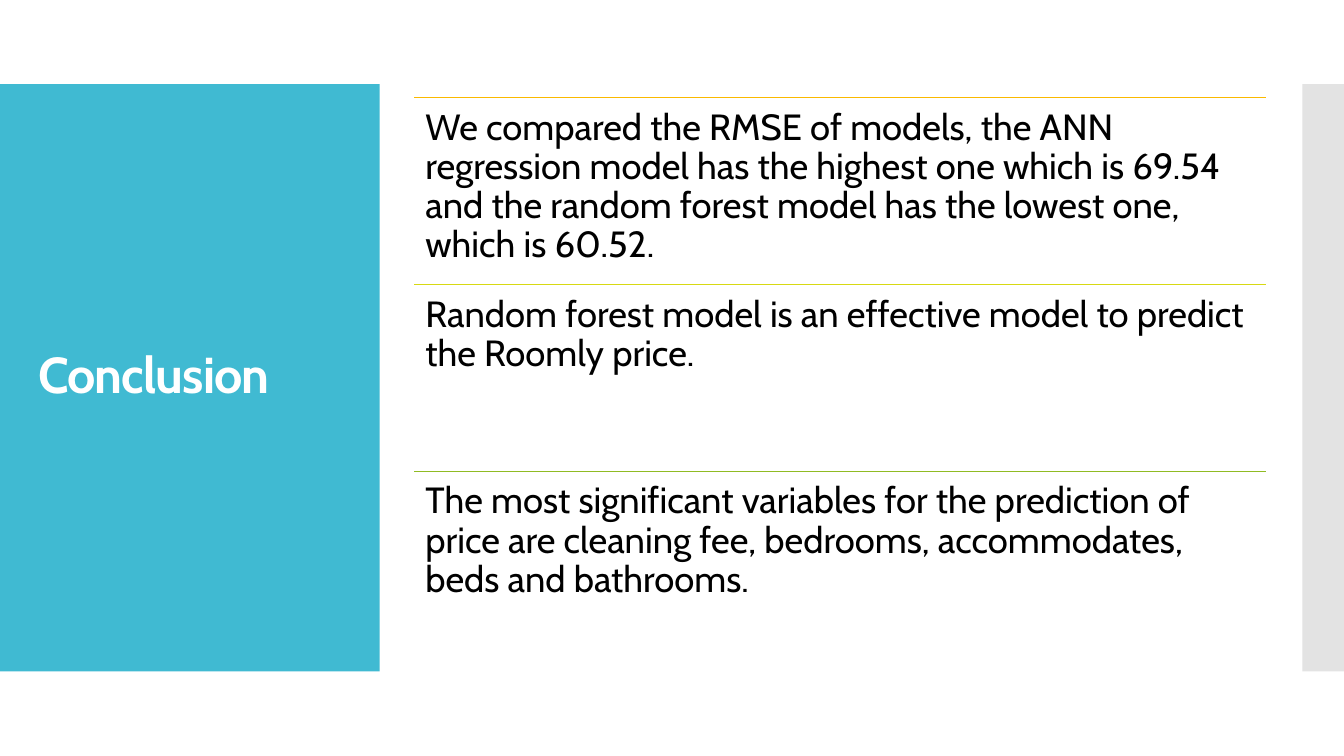
"""Build the Conclusion slide: a title panel beside three ruled findings."""
from lxml.etree import SubElement
from pptx import Presentation
from pptx.dml.color import RGBColor
from pptx.enum.shapes import MSO_CONNECTOR, MSO_SHAPE
from pptx.enum.text import MSO_ANCHOR
from pptx.oxml.ns import qn
from pptx.util import Cm, Pt

COLORS = {
    "panel": "40BAD2",
    "edge": "E3E3E3",
    "title": "FFFFFF",
    "body": "000000",
    "gold": "FAB900",
    "lime": "D7D913",
    "green": "90BB23",
}

FINDINGS = [
    ("gold", "We compared the RMSE of models, the ANN regression model has the "
             "highest one which is 69.54 and the random forest model has the "
             "lowest one, which is 60.52."),
    ("lime", "Random forest model is an effective model to predict the Roomly price."),
    ("green", "The most significant variables for the prediction of price are "
              "cleaning fee, bedrooms, accommodates, beds and bathrooms."),
]


class SlideBuilder:
    font_name = "Cabin"
    line_spacing = 0.9
    rule_width = Pt(0.85)

    def __init__(self, slide):
        self.slide = slide

    def color(self, key):
        return RGBColor.from_string(COLORS[key])

    def block(self, left, top, width, height, color):
        block = self.slide.shapes.add_shape(
            MSO_SHAPE.RECTANGLE, Cm(left), Cm(top), Cm(width), Cm(height))
        block.shadow.inherit = False
        block.fill.solid()
        block.fill.fore_color.rgb = self.color(color)
        block.line.fill.background()

    def rule(self, left, top, width, color):
        rule = self.slide.shapes.add_connector(
            MSO_CONNECTOR.STRAIGHT, Cm(left), Cm(top), Cm(left + width), Cm(top))
        rule.line.color.rgb = self.color(color)
        rule.line.width = self.rule_width
        SubElement(rule._element.spPr, qn("a:effectLst"))

    def text(self, left, top, width, height, words, size, color,
             bold=False, anchor=MSO_ANCHOR.TOP, inset=0.25, tracking=0):
        frame = self.slide.shapes.add_textbox(
            Cm(left), Cm(top), Cm(width), Cm(height)).text_frame
        frame.word_wrap = True
        frame.vertical_anchor = anchor
        frame.margin_left = frame.margin_right = Cm(inset)
        frame.margin_top = frame.margin_bottom = Cm(inset)
        paragraph = frame.paragraphs[0]
        paragraph.text = words
        paragraph.line_spacing = self.line_spacing
        font = paragraph.font
        font.name = self.font_name
        font.size = Pt(size)
        font.bold = bold
        font.color.rgb = self.color(color)
        if tracking:
            font._rPr.set("spc", str(tracking))


def main():
    deck = Presentation()
    deck.slide_width, deck.slide_height = Cm(33.87), Cm(19.05)
    builder = SlideBuilder(deck.slides.add_slide(deck.slide_layouts[6]))

    band_top, band_height = 2.12, 14.8
    builder.block(0, band_top, 9.57, band_height, "panel")
    builder.block(32.82, band_top, 1.05, band_height, "edge")
    builder.text(0.71, 3.12, 8.18, 12.78, "Conclusion", 36, "title",
                 bold=True, anchor=MSO_ANCHOR.MIDDLE, tracking=-60)

    left, first_top, width, row_height = 10.44, 2.46, 21.46, 4.71
    for row, (rule_color, finding) in enumerate(FINDINGS):
        top = first_top + row * row_height
        builder.rule(left, top, width, rule_color)
        builder.text(left, top, width, row_height, finding, 26, "body", inset=0.28)

    deck.save("out.pptx")


if __name__ == "__main__":
    main()
